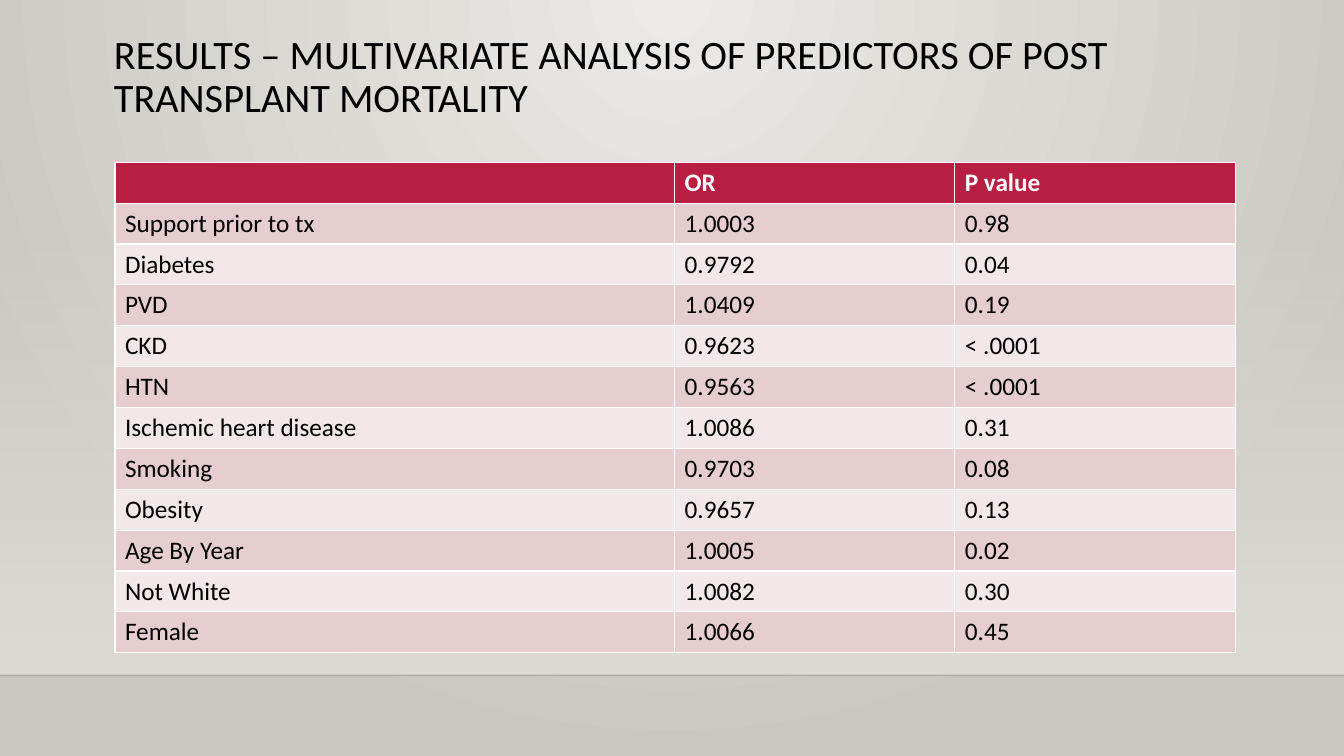
from dataclasses import dataclass
from typing import NamedTuple

from pptx import Presentation
from pptx.dml.color import RGBColor
from pptx.enum.shapes import MSO_CONNECTOR, MSO_SHAPE
from pptx.enum.text import MSO_ANCHOR, PP_ALIGN
from pptx.oxml import parse_xml
from pptx.oxml.ns import nsdecls, qn
from pptx.oxml.xmlchemy import BaseOxmlElement
from pptx.slide import Slide
from pptx.table import _Cell
from pptx.text.text import _Paragraph
from pptx.util import Inches, Pt

RECT = MSO_SHAPE.RECTANGLE
LINE = MSO_CONNECTOR.STRAIGHT
LEFT = PP_ALIGN.LEFT
TOP = MSO_ANCHOR.TOP


@dataclass(frozen=True)
class Theme:
    font: str = "Calibri"
    title: float = 28.8
    body: float = 18
    ink: str = "000000"
    white: str = "FFFFFF"
    head: str = "B71E42"
    bands: tuple[str, str] = ("E6CDCF", "F3E8E9")
    glow: str = "ECEAE7"
    edge: str = "CAC7C1"
    wall: str = "DFDBD5"


class Stop(NamedTuple):
    pos: int
    color: str
    alpha: int = 100


class Row(NamedTuple):
    name: str
    odds: str
    prob: str


THEME = Theme()
HEAD = Row("", "OR", "P value")
ROWS = [
    Row("Support prior to tx", "1.0003", "0.98"),
    Row("Diabetes", "0.9792", "0.04"),
    Row("PVD", "1.0409", "0.19"),
    Row("CKD", "0.9623", "< .0001"),
    Row("HTN", "0.9563", "< .0001"),
    Row("Ischemic heart disease", "1.0086", "0.31"),
    Row("Smoking", "0.9703", "0.08"),
    Row("Obesity", "0.9657", "0.13"),
    Row("Age By Year", "1.0005", "0.02"),
    Row("Not White", "1.0082", "0.30"),
    Row("Female", "1.0066", "0.45"),
]
WIDTHS = (5.55, 2.78, 2.78)
WIDE = Inches(13.33)
FLOOR = Inches(6.7)
RADIAL = '<a:path path="circle"><a:fillToRect l="43000" r="43000" b="100000"/></a:path>'
DOWN = '<a:lin ang="5400000" scaled="0"/>'


def blend(host: BaseOxmlElement, stops: list[Stop], form: str) -> None:
    marks = "".join(
        f'<a:gs pos="{s.pos * 1000}"><a:srgbClr val="{s.color}">'
        f'<a:alpha val="{s.alpha * 1000}"/></a:srgbClr></a:gs>'
        for s in stops
    )
    grad = parse_xml(
        f'<a:gradFill {nsdecls("a")} rotWithShape="1">'
        f"<a:gsLst>{marks}</a:gsLst>{form}</a:gradFill>"
    )
    host.replace(host.find(qn("a:solidFill")), grad)


def style(para: _Paragraph, size: float, color: str, bold: bool = False) -> None:
    font = para.font
    font.name, font.size, font.bold = THEME.font, Pt(size), bold
    font.color.rgb = RGBColor.from_string(color)


def draw_back(slide: Slide) -> None:
    slide.background.fill.solid()
    host = slide.element.find(f".//{qn('p:bgPr')}")
    blend(host, [Stop(0, THEME.glow), Stop(100, THEME.edge)], RADIAL)

    top = Inches(2.21)
    wall = slide.shapes.add_shape(RECT, 0, top, WIDE, FLOOR - top)
    wall.shadow.inherit = False
    wall.line.fill.background()
    wall.fill.solid()
    blend(wall.element.spPr, [Stop(0, THEME.wall, 0), Stop(100, THEME.wall)], DOWN)

    rule = slide.shapes.add_connector(LINE, 0, FLOOR, WIDE, FLOOR)
    rule.line.width = Pt(1)
    rule.line.color.rgb = RGBColor.from_string(THEME.ink)
    props = rule.element.spPr
    tint = props.find(f".//{qn('a:srgbClr')}")
    tint.append(parse_xml(f'<a:alpha {nsdecls("a")} val="20000"/>'))
    props.append(parse_xml(f'<a:effectLst {nsdecls("a")}/>'))


def draw_title(slide: Slide, text: str) -> None:
    title = slide.shapes.title
    title.left, title.top = Inches(1.03), Inches(0.29)
    title.width, title.height = Inches(10.5), Inches(1.15)
    frame = title.text_frame
    frame.text = text
    frame.word_wrap = True
    frame.vertical_anchor = TOP
    para = frame.paragraphs[0]
    para.alignment = LEFT
    para.line_spacing = 0.9
    style(para, THEME.title, THEME.ink)


def fill_cell(cell: _Cell, text: str, fill: str, color: str, bold: bool) -> None:
    cell.text = text
    cell.fill.solid()
    cell.fill.fore_color.rgb = RGBColor.from_string(fill)
    style(cell.text_frame.paragraphs[0], THEME.body, color, bold)


def draw_table(slide: Slide) -> None:
    rows = [HEAD, *ROWS]
    table = slide.shapes.add_table(
        len(rows), len(WIDTHS), Inches(1.14), Inches(1.61),
        Inches(sum(WIDTHS)), Inches(4.87),
    ).table
    for col, width in zip(table.columns, WIDTHS):
        col.width = Inches(width)
    for i, row in enumerate(rows):
        first = i == 0
        fill = THEME.head if first else THEME.bands[(i - 1) % 2]
        color = THEME.white if first else THEME.ink
        for j, text in enumerate(row):
            fill_cell(table.cell(i, j), text, fill, color, first)


deck = Presentation()
deck.slide_width, deck.slide_height = WIDE, Inches(7.5)
page = deck.slides.add_slide(deck.slide_layouts[5])
draw_back(page)
draw_title(page, "RESULTS – MULTIVARIATE ANALYSIS OF PREDICTORS OF POST TRANSPLANT MORTALITY")
draw_table(page)
deck.save("out.pptx")
